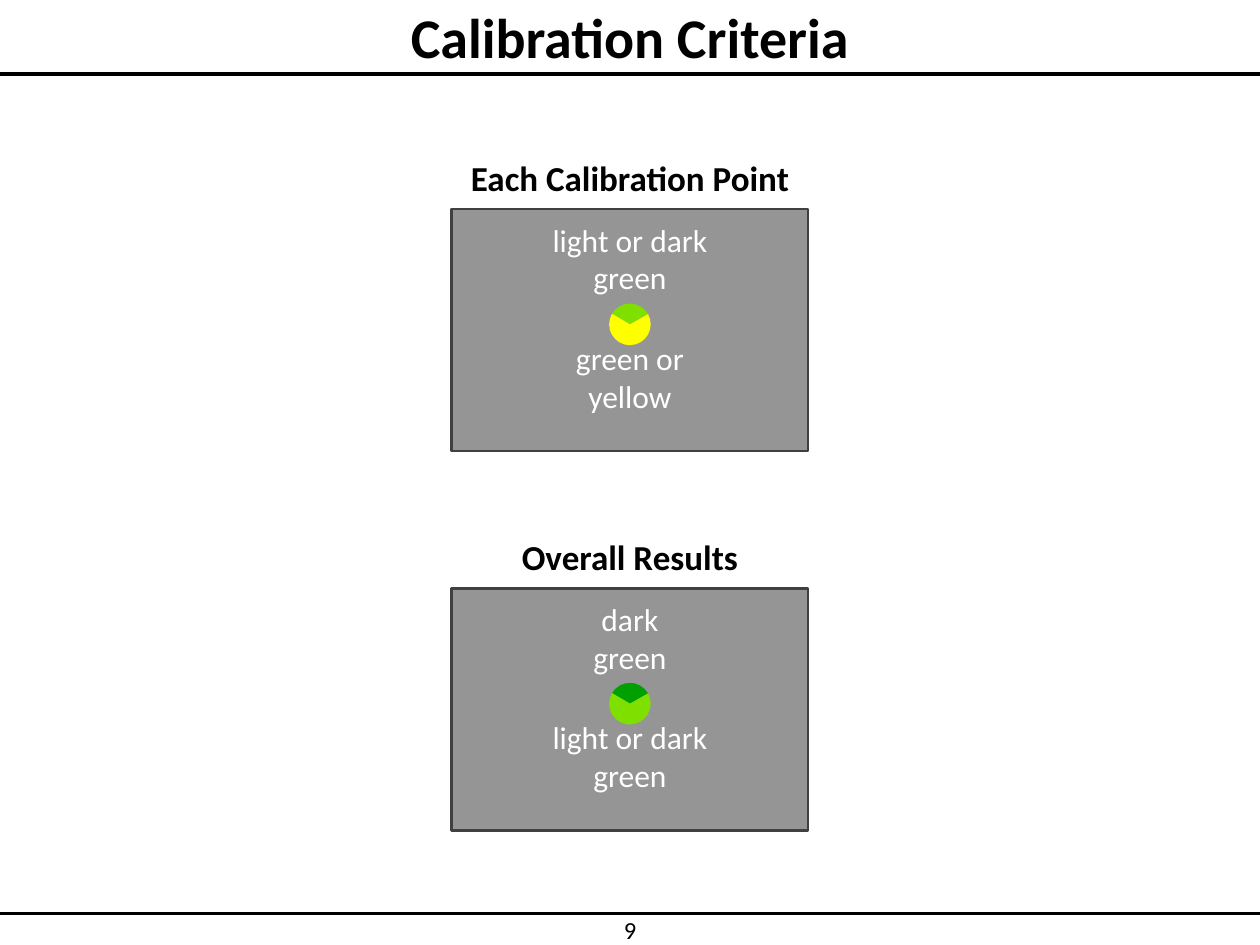
from lxml import etree
from pptx import Presentation
from pptx import util as u
from pptx.dml.color import RGBColor
from pptx.enum import shapes, text
from pptx.oxml.ns import qn

HUE = {"ink": "000000", "text": "FFFFFF", "panel": "959595", "edge": "404040",
       "dark": "00A000", "light": "7FE000", "yellow": "FFFF00"}

deck = Presentation()
deck.slide_width, deck.slide_height = u.Inches(10), u.Inches(7.5)
wide, high = deck.slide_width, deck.slide_height
slide = deck.slides.add_slide(deck.slide_layouts[5])


def box(x, y, w, h):
    return int(x * wide / 10), int(y * high / 7.5), int(w * wide / 10), int(h * high / 7.5)


def write(shape, lines, size, hue, bold=False, wrap=False,
          anchor=text.MSO_ANCHOR.MIDDLE, pad=0.05):
    frame = shape.text_frame
    frame.word_wrap = wrap
    frame.vertical_anchor = anchor
    frame.margin_left = frame.margin_right = u.Inches(0.1)
    frame.margin_top = frame.margin_bottom = u.Inches(pad)
    for i, line in enumerate(lines):
        para = frame.add_paragraph() if i else frame.paragraphs[0]
        para.alignment = text.PP_ALIGN.CENTER
        run = para.add_run()
        run.text = line
        run.font.name, run.font.size, run.font.bold = "Calibri", u.Pt(size), bold
        run.font.color.rgb = RGBColor.from_string(HUE[hue])


for y, weight in [(0.59, 2.25), (7.25, 2)]:
    left, level, span, _ = box(0, y, 10, 0)
    rule = slide.shapes.add_connector(
        shapes.MSO_CONNECTOR.STRAIGHT, left, level, span, level)
    rule.line.width = u.Pt(weight)
    rule.line.color.rgb = RGBColor.from_string(HUE["ink"])
    etree.SubElement(rule._element.spPr, qn("a:effectLst"))

page = slide.shapes.add_textbox(*box(4.64, 7.26, 0.72, 0.24))
write(page, ["9"], 14, "ink", wrap=True, anchor=text.MSO_ANCHOR.TOP, pad=0)

title = slide.shapes.title
title.left, title.top, title.width, title.height = box(0, 0, 10, 0.58)
write(title, ["Calibration Criteria"], 32, "ink", bold=True, wrap=True)

wide_in, dot = 2.83, 0.33
x = (10 - wide_in) / 2
panels = [
    ("Each Calibration Point", 1.16, "light", "yellow",
     ["light or dark", "green"], ["green or", "yellow"]),
    ("Overall Results", 4.17, "dark", "light",
     ["dark", "green"], ["light or dark", "green"]),
]
for name, y, upper, lower, above, below in panels:
    group = slide.shapes.add_group_shape()
    panel = group.shapes.add_shape(
        shapes.MSO_SHAPE.RECTANGLE, *box(x, y + 0.5, wide_in, 1.92))
    panel.shadow.inherit = False
    panel.fill.solid()
    panel.fill.fore_color.rgb = RGBColor.from_string(HUE["panel"])
    panel.line.color.rgb = RGBColor.from_string(HUE["edge"])
    panel.line.width = u.Pt(1.5)

    head = group.shapes.add_textbox(*box(x, y, wide_in, 0.5))
    write(head, [name], 20, "ink", bold=True)

    wedges = [(126.28, 198.48, upper), (198.32, 60, lower), (54, 126.41, lower)]
    for start, end, hue in wedges:
        pie = group.shapes.add_shape(
            shapes.MSO_SHAPE.PIE, *box((10 - dot) / 2, y + 1.25, dot, dot))
        pie.adjustments[0], pie.adjustments[1] = start, end
        pie.shadow.inherit = False
        pie.fill.solid()
        pie.fill.fore_color.rgb = RGBColor.from_string(HUE[hue])
        pie.line.fill.background()

    for lines, drop, anchor in [(above, 0.58, text.MSO_ANCHOR.BOTTOM),
                                (below, 1.53, text.MSO_ANCHOR.TOP)]:
        label = group.shapes.add_textbox(*box(x, y + drop, wide_in, 0.61))
        write(label, lines, 18, "text", wrap=True, anchor=anchor, pad=0)

deck.save("out.pptx")
